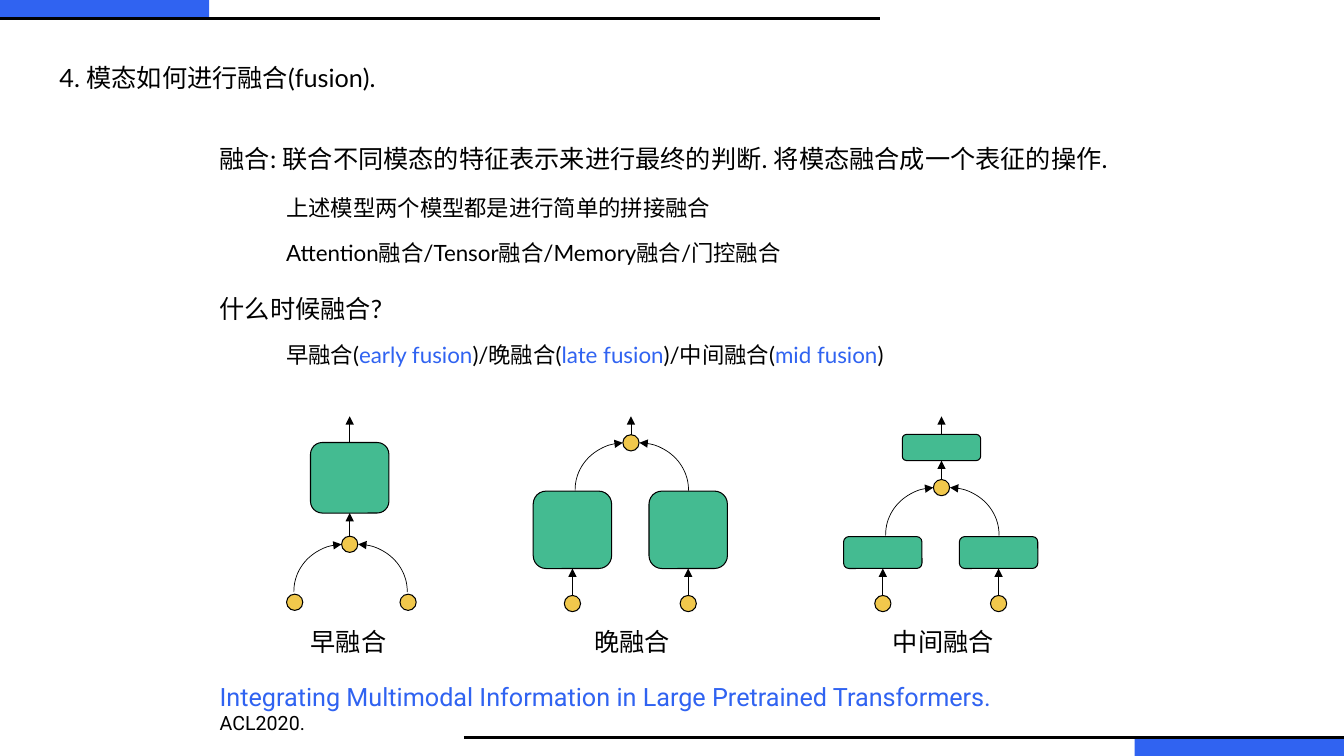
from lxml import etree
from pptx import Presentation
from pptx.dml.color import RGBColor
from pptx.enum.shapes import MSO_CONNECTOR, MSO_SHAPE
from pptx.enum.text import MSO_ANCHOR, PP_ALIGN
from pptx.oxml.ns import qn
from pptx.util import Pt

BLUE = RGBColor(0x30, 0x63, 0xF1)
GREEN = RGBColor(0x44, 0xBB, 0x91)
YELLOW = RGBColor(0xF1, 0xC8, 0x4C)
BLACK = RGBColor(0, 0, 0)
RECTANGLE, ROUNDED = MSO_SHAPE.RECTANGLE, MSO_SHAPE.ROUNDED_RECTANGLE
OVAL, ARC = MSO_SHAPE.OVAL, MSO_SHAPE.ARC
STRAIGHT = MSO_CONNECTOR.STRAIGHT
TOP, LEFT = MSO_ANCHOR.TOP, PP_ALIGN.LEFT

WIDTH, HEIGHT = 960, 540
BAR_WIDTH, BAR_HEIGHT, RULE_WIDTH = 149.5, 13, 628.6
DOT = 11.6
BOX_WIDTH = 56
ARC_WIDTH, ARC_HEIGHT = 71.3, 67
OUTPUT_TOP = 297.4

presentation = Presentation()
presentation.slide_width, presentation.slide_height = Pt(WIDTH), Pt(HEIGHT)
slide = presentation.slides.add_slide(presentation.slide_layouts[5])
shapes = slide.shapes


def write(text, left, top, width, height, size=18, font="Lato", color=BLACK, box=None):
    """Write a string, or a list of (text, colour, size) runs, in a text box or the given box."""
    box = box or shapes.add_textbox(0, 0, 0, 0)
    box.left, box.top, box.width, box.height = Pt(left), Pt(top), Pt(width), Pt(height)
    frame = box.text_frame
    frame.word_wrap = True
    frame.vertical_anchor = TOP
    paragraph = frame.paragraphs[0]
    paragraph.alignment = LEFT
    runs = [(text, color, size)] if isinstance(text, str) else text
    for run_text, run_color, run_size in runs:
        run = paragraph.add_run()
        run.text = run_text
        run.font.name, run.font.size = font, Pt(run_size)
        run.font.color.rgb = run_color


def draw(kind, left, top, width, height, fill=None, line=0.75):
    """Add a preset shape, or a line to (left + width, top + height) when kind is STRAIGHT."""
    if kind is STRAIGHT:
        shape = shapes.add_connector(kind, Pt(left), Pt(top), Pt(left + width), Pt(top + height))
        etree.SubElement(shape._element.spPr, qn("a:effectLst"))
    else:
        shape = shapes.add_shape(kind, Pt(left), Pt(top), Pt(width), Pt(height))
        shape.shadow.inherit = False
        if fill is None:
            shape.fill.background()
        else:
            shape.fill.solid()
            shape.fill.fore_color.rgb = fill
    if line:
        shape.line.color.rgb = BLACK
        shape.line.width = Pt(line)
    else:
        shape.line.fill.background()
    return shape


# Corner bars and rules
for bar_left, bar_top, rule_left, rule_top in (
    (0, 0, 0, BAR_HEIGHT),
    (WIDTH - BAR_WIDTH, HEIGHT - BAR_HEIGHT, WIDTH - RULE_WIDTH, HEIGHT - BAR_HEIGHT),
):
    draw(RECTANGLE, bar_left, bar_top, BAR_WIDTH, BAR_HEIGHT, BLUE, line=0)
    draw(STRAIGHT, rule_left, rule_top, RULE_WIDTH, 0, line=2.25)

# Text
write("4. 模态如何进行融合(fusion).", 35.3, 41, 256, 29, box=shapes.title)
write("融合: 联合不同模态的特征表示来进行最终的判断. 将模态融合成一个表征的操作.", 149.8, 98.6, 660.2, 29)
write("上述模型两个模型都是进行简单的拼接融合", 197.3, 135.4, 322, 26.6, size=16)
write("Attention融合/Tensor融合/Memory融合/门控融合", 197.3, 167.4, 375.8, 26.6, size=16)
write("什么时候融合?", 149.8, 205.9, 131.8, 29)
fusion_times = [
    ("早融合(", BLACK, 16), ("early fusion", BLUE, 16),
    (")/晚融合(", BLACK, 16), ("late fusion", BLUE, 16),
    (")/中间融合(", BLACK, 16), ("mid fusion", BLUE, 16), (")", BLACK, 16),
]
write(fusion_times, 197.3, 240.5, 525.6, 26.6)
citation = [
    ("Integrating Multimodal Information in Large Pretrained Transformers. ", BLUE, 18),
    ("ACL2020.", BLACK, 14),
]
write(citation, 149.8, 482.8, 612, 29, font="Roboto")

# Fusion diagrams: label, label left and width, centre x, fusion dot y,
# input dots y and offsets, encoder (top, bottom), shared box (top, bottom)
DIAGRAMS = (
    ("早融合", 214.8, 72.7, 249.8, 388.8, 430.2, (-39.3, 41.7), None, (316.1, 366.5)),
    ("晚融合", 417.6, 72.7, 450.7, 316.3, 431.1, (-41.8, 40.9), (350.8, 406.1), None),
    ("中间融合", 630.7, 88.6, 672.5, 348.3, 431.1, (-41.9, 40.8), (383.3, 406.1), (310.3, 329)),
)
for label, label_left, label_width, center, fusion_y, input_y, offsets, encoder, shared in DIAGRAMS:
    boxes, dots, arrows = [], [(center, fusion_y)], []
    for offset in offsets:
        dots.append((center + offset, input_y))
        if encoder:
            boxes.append((center + offset, *encoder))
            arrows.append((center + offset, input_y - DOT / 2, encoder[1]))
    if shared:
        boxes.append((center, *shared))
        arrows.append((center, fusion_y - DOT / 2, shared[1]))
    arrows.append((center, shared[0] if shared else fusion_y - DOT / 2, OUTPUT_TOP))

    for x, top, bottom in boxes:
        draw(ROUNDED, x - BOX_WIDTH / 2, top, BOX_WIDTH, bottom - top, GREEN)
    for arc_offset, start, flipped in ((-30.2, 162.61, False), (-39.9, 163.64, True)):
        arc = draw(ARC, center + arc_offset, fusion_y, ARC_WIDTH, ARC_HEIGHT, line=0.5)
        arc.adjustments[0], arc.adjustments[1] = start, 0.72
        if flipped:
            arc._element.spPr.find(qn("a:xfrm")).set("flipH", "1")
        etree.SubElement(arc.line._get_or_add_ln(), qn("a:headEnd"), type="triangle")
    for x, y in dots:
        draw(OVAL, x - DOT / 2, y - DOT / 2, DOT, DOT, YELLOW)
    for x, start_y, end_y in arrows:
        arrow = draw(STRAIGHT, x, start_y, 0, end_y - start_y, line=0.5)
        etree.SubElement(arrow.line._get_or_add_ln(), qn("a:tailEnd"), type="triangle")
    write(label, label_left, 443.8, label_width, 29)

presentation.save("out.pptx")
